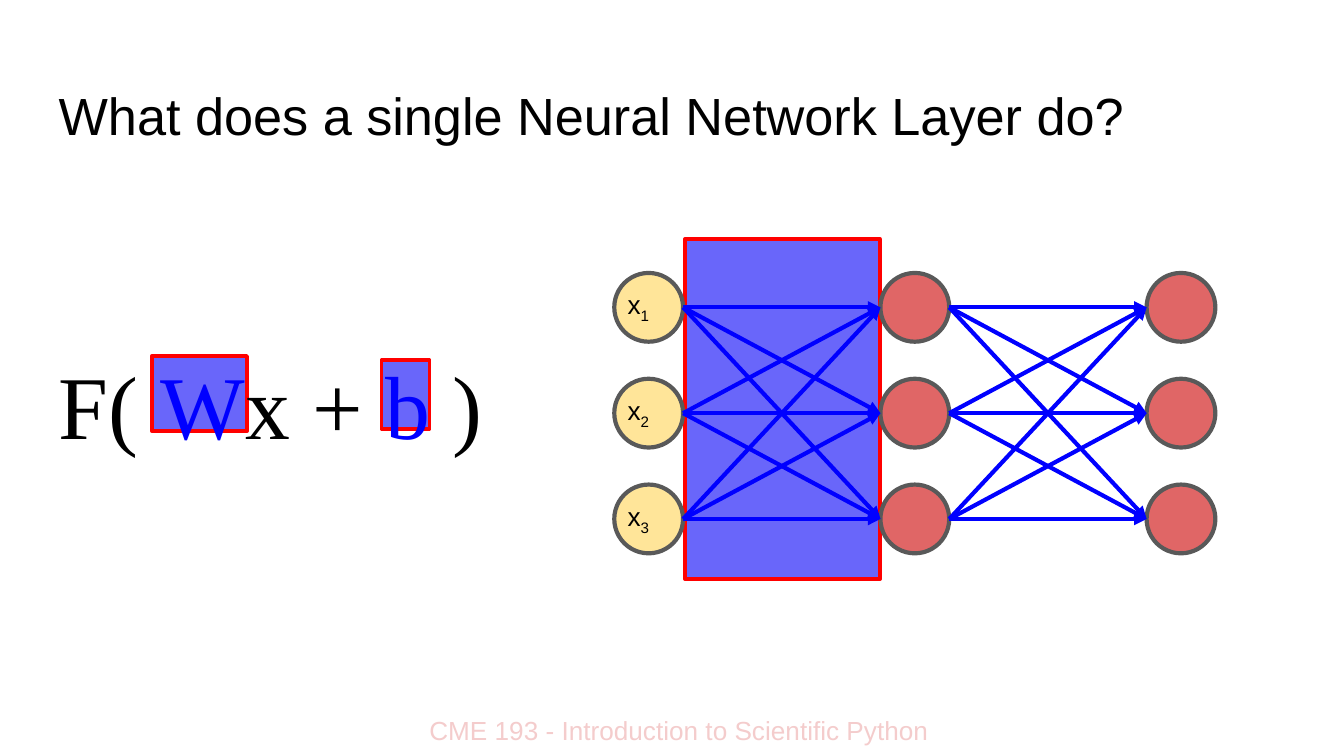
from itertools import product

from lxml.etree import SubElement
from pptx import Presentation
from pptx.dml.color import RGBColor
from pptx.enum.shapes import MSO_CONNECTOR, MSO_SHAPE
from pptx.enum.text import MSO_ANCHOR, MSO_AUTO_SIZE, PP_ALIGN
from pptx.oxml.ns import qn
from pptx.util import Cm, Pt

COLORS = {name: RGBColor.from_string(value) for name, value in {
    "text": "000000",
    "weight": "0000FF",
    "highlight": "0500F7",
    "highlight_edge": "FF0000",
    "input": "FFE599",
    "neuron": "E06666",
    "neuron_edge": "595959",
    "footer": "F4CCCC",
}.items()}


def write(box, runs, size, font="Arial", align=PP_ALIGN.LEFT, top=0.25, side=0.25):
    """Fill a text box with (text, colour, is_subscript) runs; insets are in cm."""
    frame = box.text_frame
    frame.word_wrap = True
    frame.auto_size = MSO_AUTO_SIZE.NONE
    frame.vertical_anchor = MSO_ANCHOR.TOP
    frame.margin_left = frame.margin_right = Cm(side)
    frame.margin_top, frame.margin_bottom = Cm(top), Cm(0.13)
    paragraph = frame.paragraphs[0]
    paragraph.alignment = align
    for text, color, is_subscript in runs:
        run = paragraph.add_run()
        run.text = text
        run.font.name = font
        run.font.size = Pt(size)
        run.font.color.rgb = COLORS[color]
        if is_subscript:
            run.font._element.set("baseline", "-25000")


def add_outlined(kind, left, top, width, height, fill, edge, edge_width):
    shape = slide.shapes.add_shape(kind, Cm(left), Cm(top), Cm(width), Cm(height))
    shape.shadow.inherit = False
    shape.fill.solid()
    shape.fill.fore_color.rgb = COLORS[fill]
    shape.line.color.rgb = COLORS[edge]
    shape.line.width = Pt(edge_width)
    return shape


presentation = Presentation()
presentation.slide_width, presentation.slide_height = Cm(25.4), Cm(14.29)
slide = presentation.slides.add_slide(presentation.slide_layouts[5])

title = slide.shapes.title
title.left, title.top, title.width, title.height = Cm(0.86), Cm(1.24), Cm(23.67), Cm(1.6)
write(title, [("What does a single Neural Network Layer do?", "text", False)], 28, top=0.34)

footer = slide.shapes.add_textbox(Cm(5.56), Cm(13.21), Cm(14.55), Cm(0.58))
write(footer, [("CME 193 - Introduction to Scientific Python", "footer", False)], 14,
      align=PP_ALIGN.CENTER, top=0.3)

# Highlights behind the first layer's edges, b and W
for left, top, width, height in [
    (12.95, 4.52, 3.68, 6.43),
    (7.21, 6.81, 0.91, 1.3),
    (2.87, 6.73, 1.8, 1.42),
]:
    highlight = add_outlined(MSO_SHAPE.RECTANGLE, left, top, width, height,
                             "highlight", "highlight_edge", 2)
    fill_color = highlight._element.spPr.find(qn("a:solidFill"))[0]
    SubElement(fill_color, qn("a:alpha"), val="60000")

formula = slide.shapes.add_textbox(Cm(0.86), Cm(6.15), Cm(15.32), Cm(5.31))
write(formula, [
    ("F( ", "text", False),
    ("W", "weight", False),
    ("x + ", "text", False),
    ("b", "weight", False),
    (" )", "text", False),
], 48, font="Times New Roman", top=0.46)

# Network: three layers of three nodes
DIAMETER = 1.3
layer_lefts = [11.61 + 5.03 * layer for layer in range(3)]
node_tops = [5.16 + 2 * row for row in range(3)]

for left, fill in zip(layer_lefts, ["input", "neuron", "neuron"]):
    for top in node_tops:
        add_outlined(MSO_SHAPE.OVAL, left, top, DIAMETER, DIAMETER, fill, "neuron_edge", 2.25)

for source_left, target_left in zip(layer_lefts, layer_lefts[1:]):
    for source_top, target_top in product(node_tops, repeat=2):
        edge = slide.shapes.add_connector(
            MSO_CONNECTOR.STRAIGHT,
            Cm(source_left + DIAMETER), Cm(source_top + DIAMETER / 2),
            Cm(target_left), Cm(target_top + DIAMETER / 2))
        edge.line.color.rgb = COLORS["weight"]
        edge.line.width = Pt(2.25)
        SubElement(edge.line._get_or_add_ln(), qn("a:tailEnd"), type="triangle")
        SubElement(edge._element.spPr, qn("a:effectLst"))

for number, top in enumerate(node_tops, start=1):
    label = slide.shapes.add_textbox(Cm(layer_lefts[0]), Cm(top + 0.17), Cm(DIAMETER), Cm(0.86))
    write(label, [("x", "text", False), (str(number), "text", True)], 14, top=0.13)

presentation.save("out.pptx")
